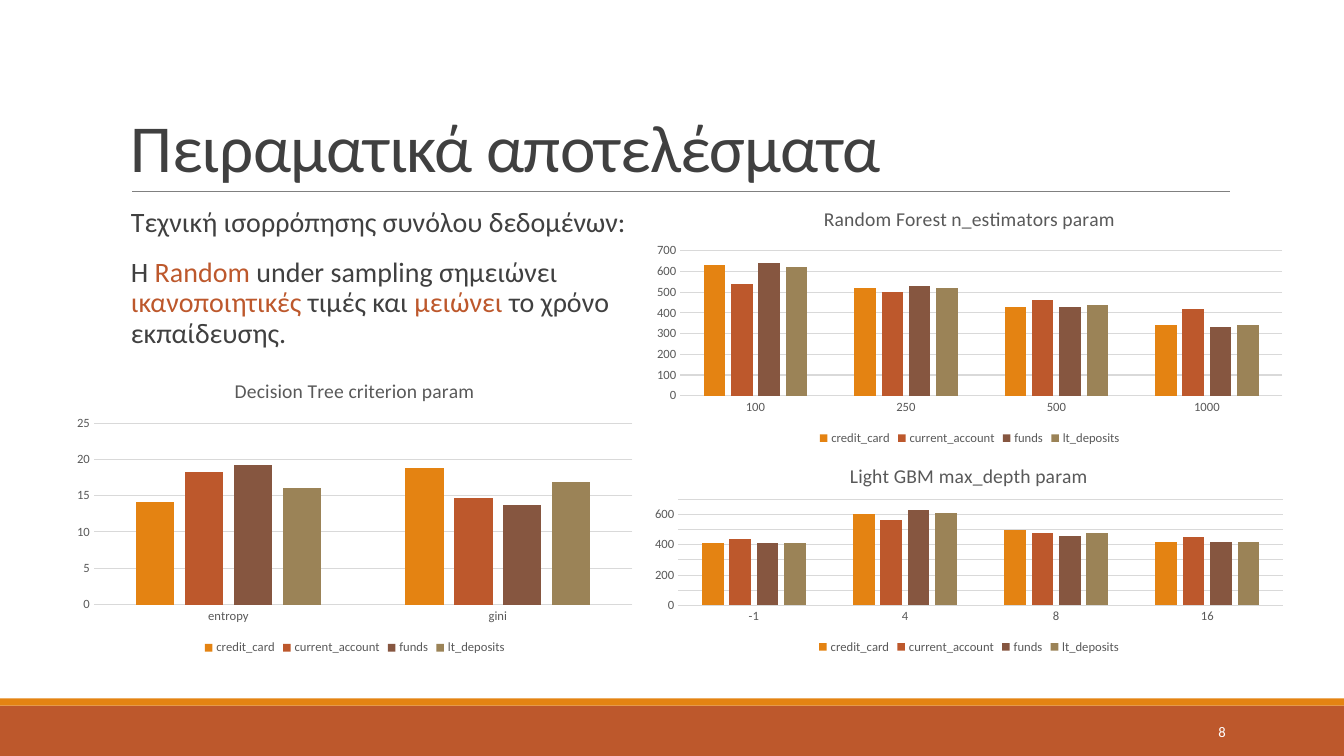
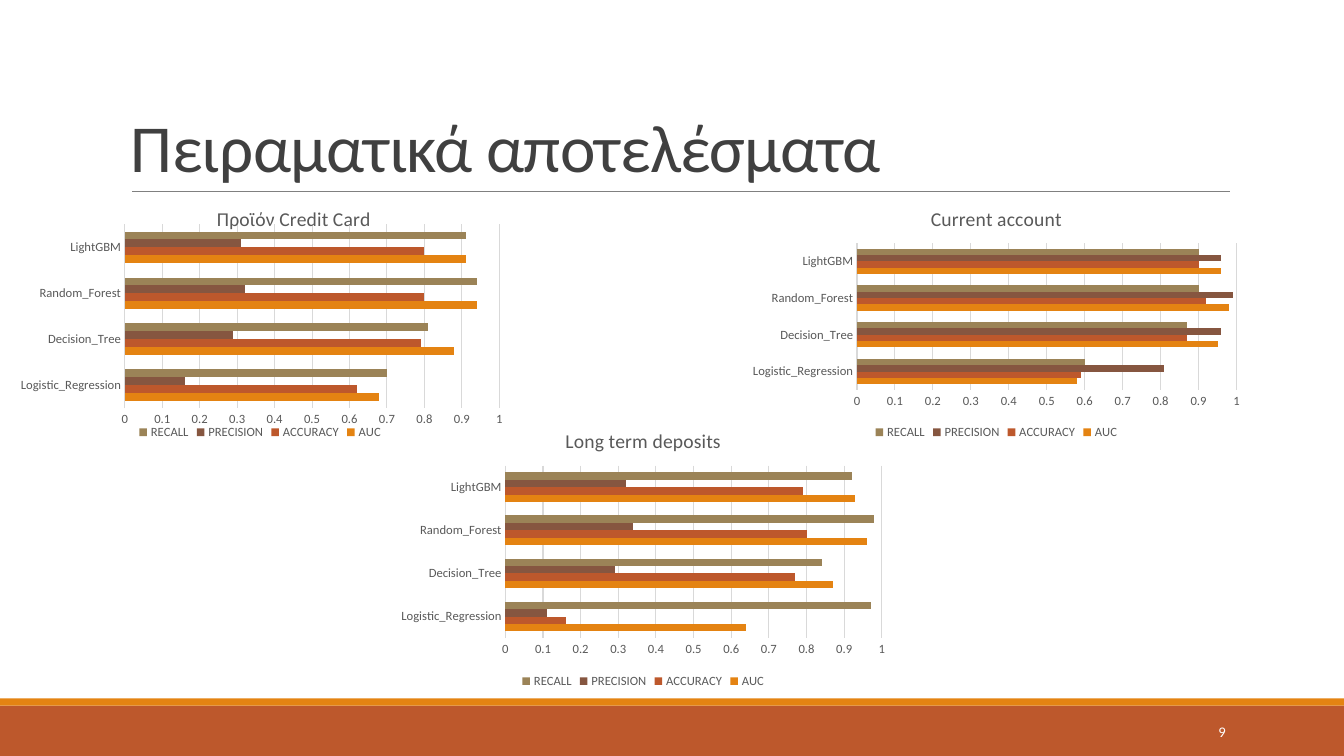
from dataclasses import dataclass

from lxml.etree import SubElement
from pptx import Presentation
from pptx.chart.data import CategoryChartData
from pptx.dml.color import RGBColor
from pptx.enum.chart import XL_CHART_TYPE, XL_LEGEND_POSITION, XL_TICK_MARK
from pptx.enum.shapes import MSO_CONNECTOR, MSO_SHAPE
from pptx.enum.text import MSO_ANCHOR, PP_ALIGN
from pptx.oxml.ns import qn
from pptx.util import Cm, Pt


@dataclass(frozen=True)
class Theme:
    font: str = "Calibri"
    ink: str = "404040"
    soft: str = "595959"
    grid: str = "D9D9D9"
    rule: str = "808080"
    white: str = "FFFFFF"
    gold: str = "E48312"
    rust: str = "BD582C"
    brown: str = "865640"
    sand: str = "9B8357"
    head: float = 48
    body: float = 20
    name: float = 14
    page: float = 10.5
    tick: float = 9

    @property
    def hues(self):
        return self.gold, self.rust, self.brown, self.sand


@dataclass(frozen=True)
class Box:
    left: float
    top: float
    width: float
    height: float

    def place(self):
        return Cm(self.left), Cm(self.top), Cm(self.width), Cm(self.height)


T = Theme()
PAGE = Box(0, 0, 33.87, 19.05)
HEAD = Box(3.05, 0.8, 27.94, 4.03)
TITLE = "Πειραματικά αποτελέσματα"

FUNDS = ("credit_card", "current_account", "funds", "lt_deposits")
SCORES = ("AUC", "ACCURACY", "PRECISION", "RECALL")
MODELS = ("Logistic_Regression", "Decision_Tree", "Random_Forest", "LightGBM")

LEAD = (
    (("Τεχνική ισορρόπησης συνόλου δεδομένων:", T.ink),),
    (
        ("Η ", T.ink),
        ("Random", T.rust),
        (" under sampling σημειώνει ", T.ink),
        ("ικανοποιητικές", T.rust),
        (" τιμές και ", T.ink),
        ("μειώνει", T.rust),
        (" το χρόνο εκπαίδευσης.", T.ink),
    ),
)

TUNING = (
    ("Decision Tree criterion param", Box(1.65, 9.14, 14.58, 7.47),
     ("entropy", "gini"),
     ((14.2, 18.8), (18.3, 14.7), (19.3, 13.7), (16.1, 16.9))),
    ("Random Forest n_estimators param", Box(16.23, 4.83, 16.41, 6.5),
     ("100", "250", "500", "1000"),
     ((630, 520, 430, 340), (540, 500, 460, 420),
      (640, 530, 430, 330), (620, 520, 440, 340))),
    ("Light GBM max_depth param", Box(16.18, 11.33, 16.48, 5.26),
     ("-1", "4", "8", "16"),
     ((410, 600, 500, 420), (440, 560, 480, 450),
      (410, 630, 460, 420), (410, 610, 480, 420))),
)

RESULTS = (
    ("Προϊόν Credit Card", Box(0, 4.83, 13.11, 6.35),
     ((0.68, 0.88, 0.94, 0.91), (0.62, 0.79, 0.8, 0.8),
      (0.16, 0.29, 0.32, 0.31), (0.7, 0.81, 0.94, 0.91))),
    ("Current account", Box(18.72, 4.83, 12.78, 6.35),
     ((0.58, 0.95, 0.98, 0.96), (0.59, 0.87, 0.92, 0.9),
      (0.81, 0.96, 0.99, 0.96), (0.6, 0.87, 0.9, 0.9))),
    ("Long term deposits", Box(9.86, 10.41, 12.7, 7.04),
     ((0.64, 0.87, 0.96, 0.93), (0.16, 0.77, 0.8, 0.79),
      (0.11, 0.29, 0.34, 0.32), (0.97, 0.84, 0.98, 0.92))),
)


def rgb(hue):
    return RGBColor.from_string(hue)


def style(font, size, hue):
    font.name = T.font
    font.size = Pt(size)
    font.bold = False
    font.color.rgb = rgb(hue)


def frame(slide, box, anchor=MSO_ANCHOR.TOP):
    text = slide.shapes.add_textbox(*box.place()).text_frame
    text.word_wrap = True
    text.vertical_anchor = anchor
    return text


def band(slide, box, hue):
    shape = slide.shapes.add_shape(MSO_SHAPE.RECTANGLE, *box.place())
    shape.shadow.inherit = False
    shape.fill.solid()
    shape.fill.fore_color.rgb = rgb(hue)
    shape.line.fill.background()


def heading(slide, box):
    para = frame(slide, box, MSO_ANCHOR.BOTTOM).paragraphs[0]
    para.line_spacing = 0.85
    style(para.font, T.head, T.ink)
    run = para.add_run()
    run.text = TITLE
    run.font._element.set("spc", "-50")
    edge = Cm(box.top + box.height)
    line = slide.shapes.add_connector(
        MSO_CONNECTOR.STRAIGHT, Cm(box.left + 0.28), edge,
        Cm(box.left + box.width), edge)
    line.line.color.rgb = rgb(T.rule)
    line.line.width = Pt(0.5)
    SubElement(line._element.spPr, qn("a:effectLst"))


def footer(slide, box, number):
    band(slide, box, T.rust)
    band(slide, Box(box.left, box.top - 0.18, box.width, 0.18), T.gold)
    spot = Box(box.left + 27.51, box.top + 0.15, 3.63, 1.02)
    para = frame(slide, spot, MSO_ANCHOR.MIDDLE).paragraphs[0]
    para.text = str(number)
    para.alignment = PP_ALIGN.RIGHT
    style(para.font, T.page, T.white)


def base(deck, number):
    slide = deck.slides.add_slide(deck.slide_layouts[6])
    footer(slide, Box(0, PAGE.height - 1.27, PAGE.width, 1.27), number)
    heading(slide, HEAD)
    return slide


def prose(slide, box, paras):
    text = frame(slide, box)
    text.margin_right = 0
    for i, parts in enumerate(paras):
        para = text.add_paragraph() if i else text.paragraphs[0]
        para.line_spacing = 0.9
        para.space_before = Pt(12)
        para.space_after = Pt(2)
        style(para.font, T.body, T.ink)
        for words, hue in parts:
            run = para.add_run()
            run.text = words
            run.font.color.rgb = rgb(hue)


def graph(slide, box, kind, title, cats, names, rows):
    data = CategoryChartData()
    data.categories = cats
    for name, row in zip(names, rows):
        data.add_series(name, row)
    chart = slide.shapes.add_chart(kind, *box.place(), data).chart
    style(chart.font, T.tick, T.soft)
    chart.has_title = True
    para = chart.chart_title.text_frame.paragraphs[0]
    para.text = title
    style(para.font, T.name, T.soft)
    chart.chart_title.include_in_layout = False
    chart.has_legend = True
    chart.legend.position = XL_LEGEND_POSITION.BOTTOM
    chart.legend.include_in_layout = False
    style(chart.legend.font, T.tick, T.soft)
    for axis in (chart.category_axis, chart.value_axis):
        axis.major_tick_mark = XL_TICK_MARK.NONE
        axis.minor_tick_mark = XL_TICK_MARK.NONE
        style(axis.tick_labels.font, T.tick, T.soft)
    chart.value_axis.minimum_scale = 0
    chart.value_axis.format.line.fill.background()
    chart.value_axis.has_major_gridlines = True
    for part in (chart.category_axis, chart.value_axis.major_gridlines):
        part.format.line.color.rgb = rgb(T.grid)
        part.format.line.width = Pt(0.75)
    plot = chart.plots[0]
    plot.vary_by_categories = False
    for series, hue in zip(plot.series, T.hues):
        series.format.fill.solid()
        series.format.fill.fore_color.rgb = rgb(hue)
        series.invert_if_negative = False
    return chart


def pin(item, **spots):
    layout = item.find(qn("c:layout"))
    if layout is None:
        layout = SubElement(item, qn("c:layout"))
        mark = item.find(qn("c:tx"))
        if mark is not None:
            mark.addnext(layout)
        else:
            item.insert(0, layout)
    manual = SubElement(layout, qn("c:manualLayout"))
    if "w" in spots:
        SubElement(manual, qn("c:layoutTarget")).set("val", "inner")
    for side in "xy":
        SubElement(manual, qn(f"c:{side}Mode")).set("val", "edge")
    for key, val in spots.items():
        SubElement(manual, qn(f"c:{key}")).set("val", str(val))


def tuning(deck, number):
    slide = base(deck, number)
    prose(slide, Box(3.05, 5.13, 13.72, 11.18), LEAD)
    for title, box, cats, rows in TUNING:
        chart = graph(slide, box, XL_CHART_TYPE.COLUMN_CLUSTERED,
                      title, cats, FUNDS, rows)
        chart.plots[0].gap_width = 219
        chart.plots[0].overlap = -27


def results(deck, number):
    slide = base(deck, number)
    charts = []
    for title, box, rows in RESULTS:
        chart = graph(slide, box, XL_CHART_TYPE.BAR_CLUSTERED,
                      title, MODELS, SCORES, rows)
        chart.plots[0].gap_width = 182
        chart.value_axis.maximum_scale = 1
        chart.value_axis.tick_labels.number_format = "General"
        chart.value_axis.tick_labels.number_format_is_linked = False
        charts.append(chart)
    card = charts[0]
    pin(card.chart_title._element, x=0.41, y=0.04)
    pin(card._chartSpace.chart.plotArea, x=0.24, y=0.13, w=0.72, h=0.73)


def main():
    deck = Presentation()
    deck.slide_width = Cm(PAGE.width)
    deck.slide_height = Cm(PAGE.height)
    tuning(deck, 8)
    results(deck, 9)
    deck.save("out.pptx")


if __name__ == "__main__":
    main()
